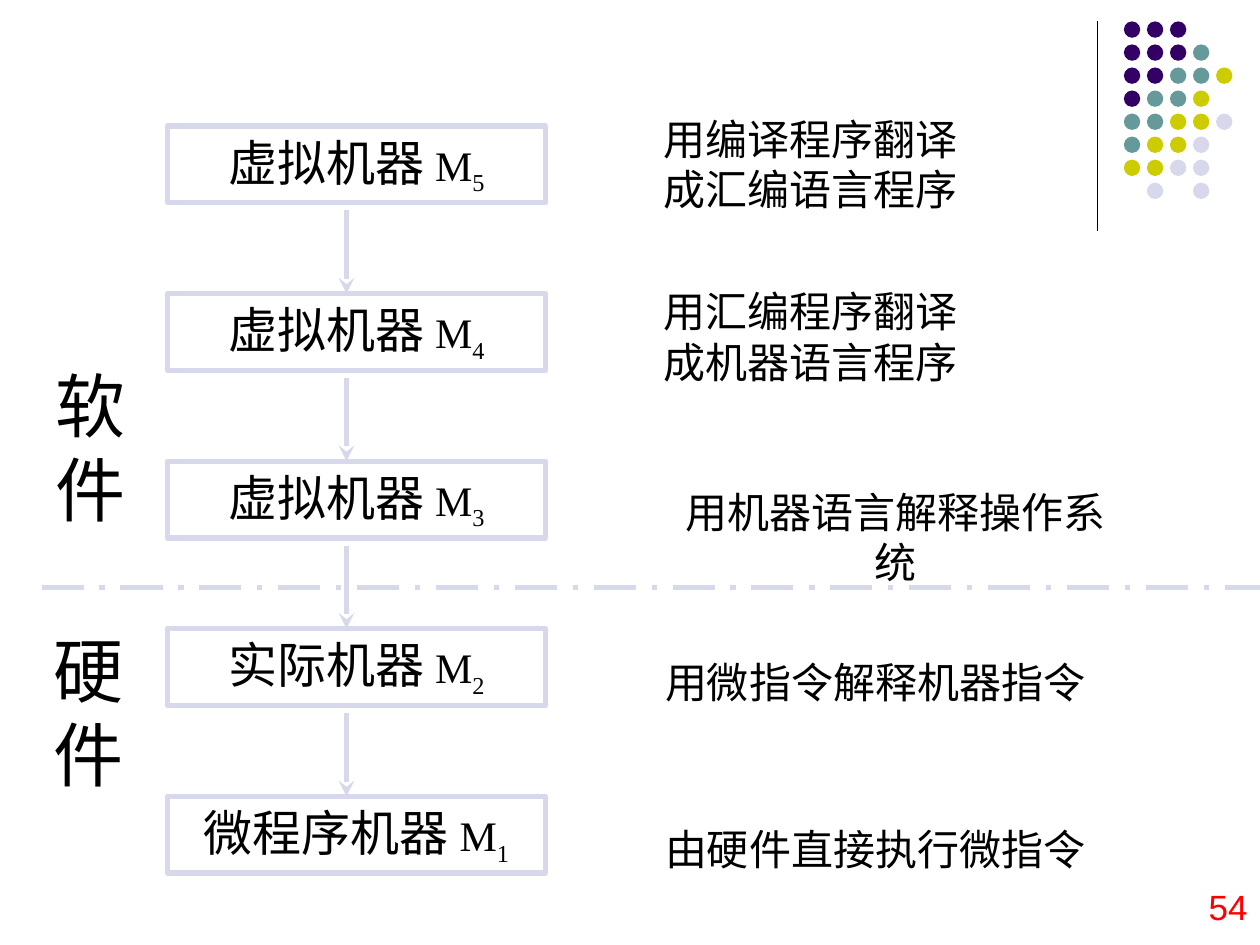
import pptx
import pptx.dml.color
import pptx.enum.dml
import pptx.enum.shapes
import pptx.enum.text
import pptx.oxml.ns
import pptx.util
from lxml import etree

Inches = pptx.util.Inches
Align = pptx.enum.text.PP_ALIGN

COLORS = {
    "text": "000000",
    "number": "FF0000",
    "purple": "330066",
    "teal": "669999",
    "olive": "CCCC00",
    "lavender": "D8D8EC",
}


def rgb(name):
    return pptx.dml.color.RGBColor.from_string(COLORS[name])


class SlideBuilder:
    font = "Arial"
    line_width = 3

    def __init__(self, slide):
        self.slide = slide

    def format_run(self, run, size, color="text", font=None):
        run.font.size = pptx.util.Pt(size)
        run.font.name = font or self.font
        run.font.color.rgb = rgb(color)

    def text(self, left, top, width, height, text, size,
             color="text", align=Align.CENTER, fit=True):
        shape = self.slide.shapes.add_textbox(
            Inches(left), Inches(top), Inches(width), Inches(height))
        frame = shape.text_frame
        frame.text = text
        frame.word_wrap = not fit
        if fit:
            frame.auto_size = pptx.enum.text.MSO_AUTO_SIZE.SHAPE_TO_FIT_TEXT
        for paragraph in frame.paragraphs:
            paragraph.alignment = align
            for run in paragraph.runs:
                self.format_run(run, size, color)

    def machine(self, left, top, width, height, name, level):
        shape = self.slide.shapes.add_shape(
            pptx.enum.shapes.MSO_SHAPE.RECTANGLE,
            Inches(left), Inches(top), Inches(width), Inches(height))
        shape.shadow.inherit = False
        shape.fill.background()
        shape.line.color.rgb = rgb("lavender")
        shape.line.width = pptx.util.Pt(self.line_width)
        frame = shape.text_frame
        frame.word_wrap = True
        frame.auto_size = pptx.enum.text.MSO_AUTO_SIZE.SHAPE_TO_FIT_TEXT
        frame.vertical_anchor = pptx.enum.text.MSO_ANCHOR.TOP
        paragraph = frame.paragraphs[0]
        paragraph.alignment = Align.CENTER
        parts = [(name + " ", 28, self.font),
                 ("M", 24, "Times New Roman"),
                 (str(level), 24, "Times New Roman")]
        for text, size, font in parts:
            run = paragraph.add_run()
            run.text = text
            self.format_run(run, size, font=font)
        # The level is a subscript
        run.font._element.set("baseline", "-25000")

    def line(self, start, end, color="lavender", width=line_width,
             dash=None, arrow=False):
        connector = self.slide.shapes.add_connector(
            pptx.enum.shapes.MSO_CONNECTOR.STRAIGHT,
            *(Inches(value) for value in (*start, *end)))
        connector.line.color.rgb = rgb(color)
        connector.line.width = pptx.util.Pt(width)
        if dash:
            connector.line.dash_style = dash
        if arrow:
            etree.SubElement(connector.line._get_or_add_ln(),
                             pptx.oxml.ns.qn("a:tailEnd"), type="stealth")
        etree.SubElement(connector._element.spPr, pptx.oxml.ns.qn("a:effectLst"))

    def dot(self, left, top, size, color):
        shape = self.slide.shapes.add_shape(
            pptx.enum.shapes.MSO_SHAPE.OVAL,
            Inches(left), Inches(top), Inches(size), Inches(size))
        shape.shadow.inherit = False
        shape.fill.solid()
        shape.fill.fore_color.rgb = rgb(color)
        shape.line.fill.background()


def main():
    presentation = pptx.Presentation()
    presentation.slide_width = Inches(10)
    presentation.slide_height = Inches(7.5)
    builder = SlideBuilder(
        presentation.slides.add_slide(presentation.slide_layouts[6]))

    # Corner decoration: a rule and a grid of dots
    builder.line((8.71, 0.17), (8.71, 1.83), color="text", width=0.75)
    dot_colors = {"P": "purple", "T": "teal", "O": "olive", "L": "lavender"}
    dot_rows = ["PPP", "PPPT", "PPTTO", "PTTO", "TTOOL", "TOOL", "OOLL", ".L.L"]
    dot_pitch = 1.28 / 7
    for row, codes in enumerate(dot_rows):
        for column, code in enumerate(codes):
            if code in dot_colors:
                builder.dot(8.92 + column * dot_pitch, 0.17 + row * dot_pitch,
                            0.13, dot_colors[code])

    # How each level is carried out
    explanations = [
        (5.17, 0.85, 2.53, 0.9, "用编译程序翻译\n成汇编语言程序"),
        (5.17, 2.22, 2.53, 0.9, "用汇编程序翻译\n成机器语言程序"),
        (5.18, 3.81, 3.86, 0.5, "用机器语言解释操作系统"),
        (5.18, 5.16, 3.53, 0.5, "用微指令解释机器指令"),
        (5.18, 6.49, 3.53, 0.5, "由硬件直接执行微指令"),
    ]
    for left, top, width, height, text in explanations:
        builder.text(left, top, width, height, text, 24)

    # Border between software and hardware
    builder.line((0.33, 4.66), (10, 4.66),
                 dash=pptx.enum.dml.MSO_LINE.LONG_DASH_DOT)
    builder.text(0.34, 2.83, 0.75, 1.44, "软\n件", 40)
    builder.text(0.33, 4.93, 0.75, 1.44, "硬\n件", 40)

    # Machine levels from top to bottom, with arrows between them
    machines = ["虚拟机器", "虚拟机器", "虚拟机器", "实际机器", "微程序机器"]
    first_top, pitch = 1, 1.33
    for index, name in enumerate(machines):
        builder.machine(1.33, first_top + index * pitch, 3, 0.61,
                        name, len(machines) - index)
    for index in range(len(machines) - 1):
        top = first_top + index * pitch
        builder.line((2.75, top + 0.67), (2.75, top + pitch), arrow=True)

    # Page number
    builder.text(7.67, 6.98, 2.33, 0.5, "54", 20, color="number",
                 align=Align.RIGHT, fit=False)

    presentation.save("out.pptx")


if __name__ == "__main__":
    main()
